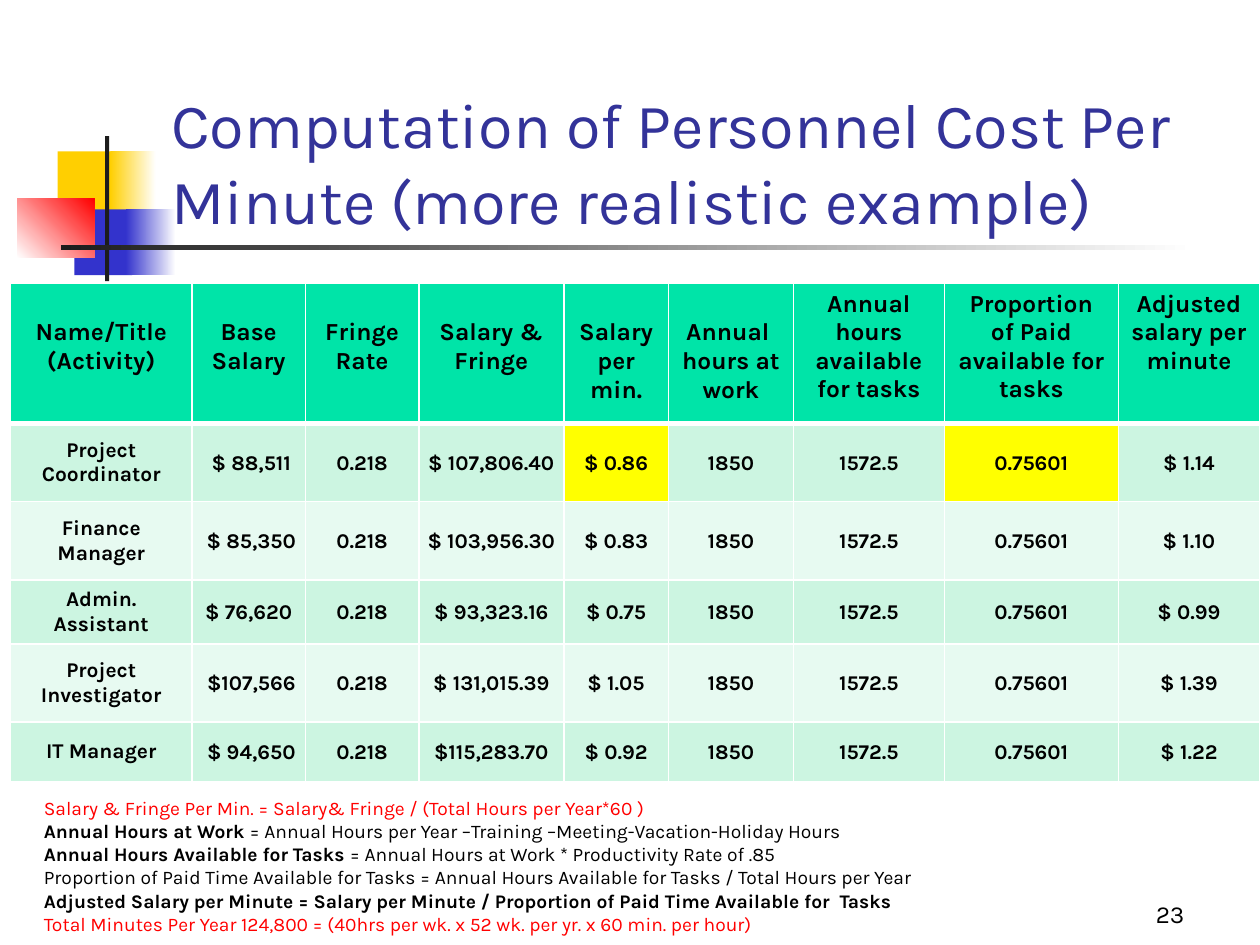
from dataclasses import dataclass

from lxml.etree import SubElement
from pptx import Presentation
from pptx.dml.color import RGBColor as RGB
from pptx.enum.shapes import MSO_SHAPE as SHAPE
from pptx.enum.text import MSO_ANCHOR as ANCHOR, MSO_AUTO_SIZE as AUTO, PP_ALIGN as ALIGN
from pptx.oxml.ns import qn
from pptx.util import Pt


@dataclass(frozen=True)
class Theme:
    font: str = "Karla"
    title_size: float = 36
    header_size: float = 14
    body_size: float = 12
    note_size: float = 11
    title: str = "333399"
    text: str = "000000"
    white: str = "FFFFFF"
    dark: str = "1C1C1C"
    gold: str = "FFCF01"
    blue: str = "3333CC"
    red: str = "FF0000"
    header: str = "00E4A8"
    bands: tuple = ("CCF5E1", "E7FAF1")
    highlight: str = "FFFF00"


class SlideBuilder:
    def __init__(self, slide, theme):
        self.s = slide
        self.t = theme

    def block(self, box, color, end=None, angle=0):
        """Add a borderless rectangle, fading from color to end if end is given."""
        sp = self.s.shapes.add_shape(SHAPE.RECTANGLE, *map(Pt, box))
        sp.shadow.inherit = False
        sp.line.fill.background()
        if end is None:
            sp.fill.solid()
            sp.fill.fore_color.rgb = RGB.from_string(color)
        else:
            sp.fill.gradient()
            sp.fill.gradient_angle = angle
            for stop, value in zip(sp.fill.gradient_stops, (color, end)):
                stop.color.rgb = RGB.from_string(value)

    def run(self, p, text, size, color, bold=False):
        r = p.add_run()
        r.text = text
        r.font.name = self.t.font
        r.font.size = Pt(size)
        r.font.bold = bold
        r.font.color.rgb = RGB.from_string(color)

    def text(self, box, paragraphs, size, anchor=ANCHOR.TOP, align=ALIGN.LEFT, grow=False):
        """Add a text box; each paragraph is a list of (text, color, bold) runs."""
        tf = self.s.shapes.add_textbox(*map(Pt, box)).text_frame
        tf.word_wrap = True
        tf.auto_size = AUTO.SHAPE_TO_FIT_TEXT if grow else AUTO.NONE
        tf.vertical_anchor = anchor
        for i, runs in enumerate(paragraphs):
            p = tf.add_paragraph() if i else tf.paragraphs[0]
            p.alignment = align
            for text, color, bold in runs:
                self.run(p, text, size, color, bold)

    def borders(self, cell, top, bottom):
        tc_pr = cell._tc.get_or_add_tcPr()
        for side, width in (("L", 1), ("R", 1), ("T", top), ("B", bottom)):
            ln = SubElement(tc_pr, qn(f"a:ln{side}"), w=str(Pt(width)))
            fill = SubElement(ln, qn("a:solidFill"))
            SubElement(fill, qn("a:srgbClr"), val=self.t.white)

    def cell(self, cell, text, size, fill):
        cell.fill.solid()
        cell.fill.fore_color.rgb = RGB.from_string(fill)
        tf = cell.text_frame
        for i, line in enumerate(text.split("\n")):
            p = tf.add_paragraph() if i else tf.paragraphs[0]
            p.alignment = ALIGN.CENTER
            self.run(p, line, size, self.t.text, True)

    def table(self, left, top, widths, heights, headers, rows, highlights):
        t = self.t
        tbl = self.s.shapes.add_table(
            len(heights), len(widths), Pt(left), Pt(top), Pt(sum(widths)), Pt(sum(heights))
        ).table
        for column, width in zip(tbl.columns, widths):
            column.width = Pt(width)
        for row, height in zip(tbl.rows, heights):
            row.height = Pt(height)
        for j, (text, drop) in enumerate(headers):
            c = tbl.cell(0, j)
            self.borders(c, 1, 3)
            self.cell(c, text, t.header_size, t.header)
            c.margin_top = Pt(drop)
        for i, values in enumerate(rows, start=1):
            for j, text in enumerate(values):
                c = tbl.cell(i, j)
                self.borders(c, 3 if i == 1 else 1, 1)
                band = t.bands[(i - 1) % 2]
                self.cell(c, text, t.body_size, t.highlight if (i, j) in highlights else band)
                c.vertical_anchor = ANCHOR.MIDDLE
                if j:
                    c.margin_left = c.margin_right = c.margin_top = Pt(0.7)
                    c.margin_bottom = Pt(0)


TOP, LOWERED = 3.6, 20  # header text insets; lowered headers start one line down
HEADERS = [
    ("Name/Title (Activity)", LOWERED),
    ("Base Salary", LOWERED),
    ("Fringe Rate", LOWERED),
    ("Salary & Fringe", LOWERED),
    ("Salary per min.", LOWERED),
    ("Annual \nhours at work", LOWERED),
    ("Annual hours available for tasks", TOP),
    ("Proportion of Paid available for tasks", TOP),
    ("Adjusted salary per minute", TOP),
]
STAFF = [
    ("Project Coordinator", " $ 88,511", " $ 107,806.40 ", "0.86", "1.14"),
    ("Finance Manager", " $ 85,350", " $ 103,956.30 ", "0.83", "1.10"),
    ("Admin. Assistant", " $ 76,620 ", " $ 93,323.16 ", "0.75", "0.99"),
    ("Project Investigator", " $107,566", " $ 131,015.39 ", "1.05", "1.39"),
    ("IT Manager", " $ 94,650", " $115,283.70 ", "0.92", "1.22"),
]
COLUMN_WIDTHS = [103.7, 64.8, 64.8, 82.9, 59.8, 71.4, 86.3, 99.4, 80.8]
ROW_HEIGHTS = [80, 44.7, 44.7, 36.7, 44.7, 33.9]


def main():
    prs = Presentation()
    prs.slide_width, prs.slide_height = Pt(720), Pt(540)
    t = Theme()
    b = SlideBuilder(prs.slides.add_slide(prs.slide_layouts[6]), t)

    b.block((33, 86.5, 34.5, 37.5), t.gold)
    b.block((63, 86.5, 26, 37.5), t.gold, t.white)
    b.block((42.5, 119.7, 33, 37.5), t.blue)
    b.block((72, 119.7, 28.5, 37.5), t.blue, t.white)
    b.block((9.8, 113.7, 44.2, 33.5), t.white, t.red, 45)
    b.block((60, 77.8, 2.4, 82.8), t.dark)
    b.block((34.8, 140.2, 648, 2.4), t.dark, t.white)

    title = "Computation of Personnel Cost Per Minute (more realistic example)"
    b.text((90.7, 49, 613.5, 90), [[(title, t.title, False)]], t.title_size, ANCHOR.BOTTOM)
    b.text((534, 498, 150, 36), [[("23", t.text, False)]], t.header_size,
           ANCHOR.BOTTOM, ALIGN.RIGHT)

    rows = [
        (name, base, "0.218", total, f" $ {rate} ", "1850", "1572.5", "0.75601", f" $ {adjusted} ")
        for name, base, total, rate, adjusted in STAFF
    ]
    b.table(6, 162, COLUMN_WIDTHS, ROW_HEIGHTS, HEADERS, rows, {(1, 4), (1, 7)})

    notes = [
        [("Salary & Fringe Per Min. = Salary& Fringe / (Total Hours per Year*60 )", t.red, False)],
        [("Annual Hours at Work ", t.text, True),
         ("= Annual Hours per Year –Training –Meeting-Vacation-Holiday Hours", t.text, False)],
        [("Annual Hours Available for Tasks ", t.text, True),
         ("= Annual Hours at Work * Productivity Rate of .85", t.text, False)],
        [("Proportion of Paid Time Available for Tasks = Annual Hours Available for Tasks"
          " / Total Hours per Year", t.text, False)],
        [("Adjusted Salary per Minute = Salary per Minute"
          " / Proportion of Paid Time Available for  Tasks", t.text, True)],
        [("Total Minutes Per Year 124,800 = (40hrs per wk. x 52 wk. per yr. x 60 min. per hour)",
          t.red, False)],
    ]
    b.text((18, 451.5, 563.8, 87), notes, t.note_size, grow=True)
    prs.save("out.pptx")


if __name__ == "__main__":
    main()
